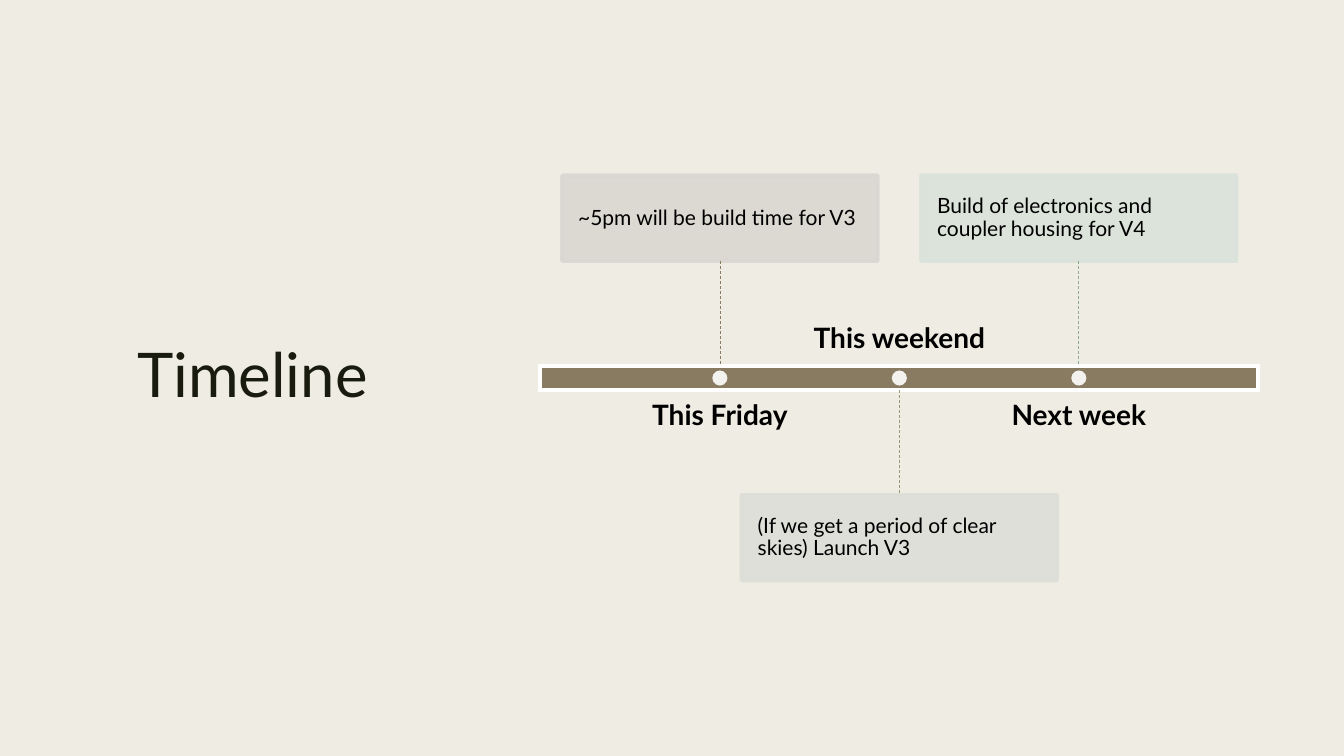
from dataclasses import dataclass

from lxml import etree
from pptx import Presentation
from pptx.dml.color import RGBColor
from pptx.enum import dml, shapes, text
from pptx.oxml.ns import qn
from pptx.util import Inches, Pt

FONT = "Lato"
BACKGROUND = RGBColor(0xEF, 0xED, 0xE3)
TITLE_INK = RGBColor(0x19, 0x1B, 0x0E)
BLACK = RGBColor(0, 0, 0)
WHITE = RGBColor(0xFF, 0xFF, 0xFF)
BROWN = RGBColor(0x89, 0x7B, 0x61)
OLIVE = RGBColor(0x8F, 0x9C, 0x75)
GREEN = RGBColor(0x8D, 0xAB, 0x8E)
WARM_GREY = RGBColor(0xDA, 0xD7, 0xD2)
SAGE_GREY = RGBColor(0xDC, 0xDE, 0xD7)
MINT_GREY = RGBColor(0xDB, 0xE2, 0xDB)

FIRST_CENTER, PITCH = 7.14, 1.78
BAR_LEFT, BAR_TOP, BAR_WIDTH, BAR_HEIGHT = 5.36, 3.63, 7.12, 0.24
BAR_BOTTOM = BAR_TOP + BAR_HEIGHT
CARD_WIDTH, CARD_HEIGHT, STEM = 3.13, 0.85, 1.04
LABEL_WIDTH, LABEL_HEIGHT, LABEL_GAP = 2.85, 0.69, 0.11
DOT = 0.15


@dataclass
class Milestone:
    when: str
    plan: str
    card_color: RGBColor
    stem_color: RGBColor
    card_above: bool


MILESTONES = [
    Milestone("This Friday", "~5pm will be build time for V3", WARM_GREY, BROWN, True),
    Milestone("This weekend", "(If we get a period of clear skies) Launch V3",
              SAGE_GREY, OLIVE, False),
    Milestone("Next week", "Build of electronics and coupler housing for V4",
              MINT_GREY, GREEN, True),
]


def write(shape, words: str, size: float, color: RGBColor, align, anchor,
          inset: float, bold: bool = False, spacing: float = 0.9) -> None:
    frame = shape.text_frame
    frame.text = words
    frame.word_wrap = True
    frame.auto_size = text.MSO_AUTO_SIZE.NONE
    frame.vertical_anchor = anchor
    frame.margin_left = frame.margin_right = Inches(inset)
    frame.margin_top = frame.margin_bottom = Inches(inset)
    paragraph = frame.paragraphs[0]
    paragraph.alignment = align
    paragraph.line_spacing = spacing
    font = paragraph.runs[0].font
    font.name, font.size, font.bold = FONT, Pt(size), bold
    font.color.rgb = color


def add_block(slide, preset, left: float, top: float, width: float, height: float,
              fill: RGBColor, outline: RGBColor | None = None):
    block = slide.shapes.add_shape(preset, Inches(left), Inches(top),
                                   Inches(width), Inches(height))
    block.shadow.inherit = False
    block.fill.solid()
    block.fill.fore_color.rgb = fill
    if outline is None:
        block.line.fill.background()
    else:
        block.line.color.rgb = outline
        block.line.width = Pt(2.75)
    return block


def soften(block) -> None:
    """Make the fill and outline 90% opaque."""
    for color in block.element.spPr.iter(qn("a:srgbClr")):
        etree.SubElement(color, qn("a:alpha"), val="90000")


def add_stem(slide, x: float, top: float, color: RGBColor) -> None:
    stem = slide.shapes.add_connector(shapes.MSO_CONNECTOR.STRAIGHT, Inches(x),
                                      Inches(top), Inches(x), Inches(top + STEM))
    stem.line.color.rgb = color
    stem.line.width = Pt(0.5)
    stem.line.dash_style = dml.MSO_LINE.DASH
    etree.SubElement(stem.element.spPr, qn("a:effectLst"))


def add_milestone(slide, milestone: Milestone, center: float) -> None:
    if milestone.card_above:
        stem_top = BAR_TOP - STEM
        card_top = stem_top - CARD_HEIGHT
        label_top, label_anchor = BAR_BOTTOM + LABEL_GAP, text.MSO_ANCHOR.TOP
    else:
        stem_top = BAR_BOTTOM
        card_top = stem_top + STEM
        label_top = BAR_TOP - LABEL_GAP - LABEL_HEIGHT
        label_anchor = text.MSO_ANCHOR.BOTTOM

    label = slide.shapes.add_textbox(Inches(center - LABEL_WIDTH / 2), Inches(label_top),
                                     Inches(LABEL_WIDTH), Inches(LABEL_HEIGHT))
    write(label, milestone.when, 20, BLACK, text.PP_ALIGN.CENTER, label_anchor, 0, bold=True)

    card = add_block(slide, shapes.MSO_SHAPE.RECTANGLE, center - CARD_WIDTH / 2, card_top,
                     CARD_WIDTH, CARD_HEIGHT, milestone.card_color, milestone.card_color)
    soften(card)
    write(card, milestone.plan, 15, BLACK, text.PP_ALIGN.LEFT, text.MSO_ANCHOR.MIDDLE, 0.16)

    add_stem(slide, center, stem_top, milestone.stem_color)
    soften(add_block(slide, shapes.MSO_SHAPE.OVAL, center - DOT / 2,
                     BAR_TOP + (BAR_HEIGHT - DOT) / 2, DOT, DOT, WHITE))


def main() -> None:
    deck = Presentation()
    deck.slide_width, deck.slide_height = Inches(13.33), Inches(7.5)
    slide = deck.slides.add_slide(deck.slide_layouts[5])
    slide.background.fill.solid()
    slide.background.fill.fore_color.rgb = BACKGROUND

    title = slide.shapes.title
    title.left, title.top = Inches(0.7), Inches(0.7)
    title.width, title.height = Inches(3.61), Inches(6.1)
    write(title, "Timeline", 44, TITLE_INK, text.PP_ALIGN.CENTER,
          text.MSO_ANCHOR.MIDDLE, 0.1, spacing=0.89)

    bar = add_block(slide, shapes.MSO_SHAPE.RECTANGLE, BAR_LEFT, BAR_TOP,
                    BAR_WIDTH, BAR_HEIGHT, BROWN, WHITE)
    etree.SubElement(bar.element.spPr.find(qn("a:ln")), qn("a:miter"), lim="800000")
    for index, milestone in enumerate(MILESTONES):
        add_milestone(slide, milestone, FIRST_CENTER + index * PITCH)

    deck.save("out.pptx")


if __name__ == "__main__":
    main()
